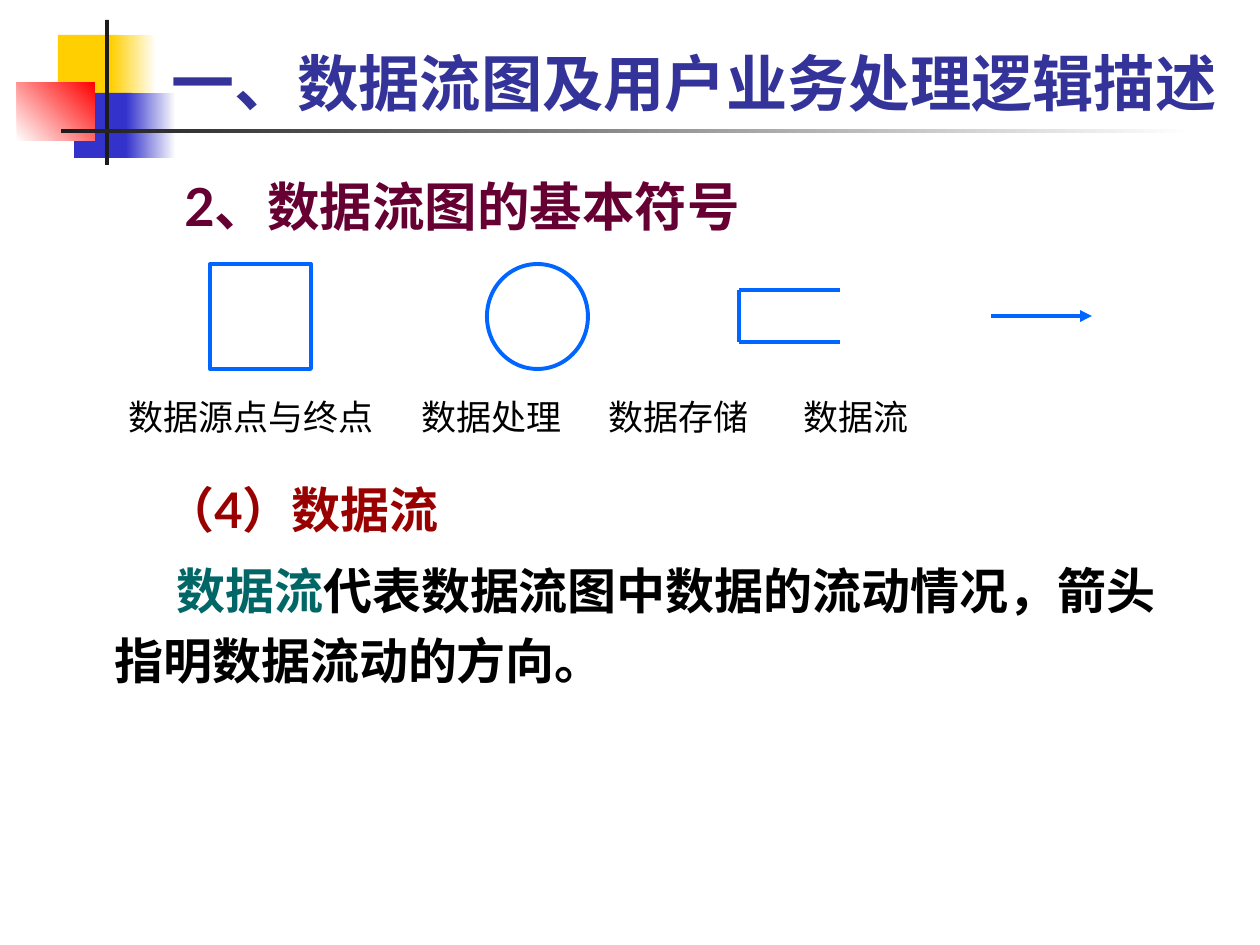
from lxml import etree
from pptx import Presentation
from pptx import util as u
from pptx.dml.color import RGBColor
from pptx.enum import shapes, text
from pptx.oxml.ns import qn

PX = 914400 / 126
CJK = "Noto Sans CJK SC"
BLUE, INK, BLACK, WHITE = "0066FF", "1C1C1C", "000000", "FFFFFF"
RECT, OVAL = shapes.MSO_SHAPE.RECTANGLE, shapes.MSO_SHAPE.OVAL


def px(n):
    return u.Emu(round(n * PX))


def rgb(color):
    return RGBColor.from_string(color)


class Painter:
    """Holds the style and the slide being drawn."""

    line_width = u.Pt(2.25)
    hanging = 48

    def __init__(self, slide):
        self.slide = slide

    def shape(self, kind, box, fill, line=None):
        sp = self.slide.shapes.add_shape(kind, *map(px, box))
        sp.shadow.inherit = False
        if fill:
            sp.fill.solid()
            sp.fill.fore_color.rgb = rgb(fill)
        if line:
            sp.line.color.rgb = rgb(line)
            sp.line.width = self.line_width
        else:
            sp.line.fill.background()
        return sp

    def fade(self, box, start, end, angle=0):
        """Rectangle with a gradient; the angle runs counter-clockwise."""
        sp = self.shape(RECT, box, None)
        sp.fill.gradient()
        sp.fill.gradient_angle = angle
        for stop, color in zip(sp.fill.gradient_stops, (start, end)):
            stop.color.rgb = rgb(color)

    def line(self, x1, y1, x2, y2, arrow=False):
        ln = self.slide.shapes.add_connector(
            shapes.MSO_CONNECTOR.STRAIGHT, *map(px, (x1, y1, x2, y2)))
        ln.line.color.rgb = rgb(BLUE)
        ln.line.width = self.line_width
        if arrow:
            etree.SubElement(ln.line._get_or_add_ln(), qn("a:tailEnd"), type="triangle")
        etree.SubElement(ln._element.spPr, qn("a:effectLst"))

    def text_box(self, box, anchor=text.MSO_ANCHOR.TOP):
        tf = self.slide.shapes.add_textbox(*map(px, box)).text_frame
        tf.word_wrap = True
        tf.vertical_anchor = anchor
        return tf

    def run(self, p, words, size, color, font="Lato", bold=True):
        r = p.add_run()
        r.text = words
        r.font.size = u.Pt(size)
        r.font.bold = bold
        r.font.color.rgb = rgb(color)
        r.font.name = font
        etree.SubElement(r._r.get_or_add_rPr(), qn("a:ea"), typeface=CJK)

    def body_paragraph(self, p, first_line, runs):
        """Paragraph whose first line starts first_line px into the box."""
        p.line_spacing = 1.2
        pPr = p._p.get_or_add_pPr()
        pPr.set("marL", str(px(self.hanging)))
        pPr.set("indent", str(px(first_line - self.hanging)))
        for r in runs:
            self.run(p, *r)

    def tabbed_labels(self, p, labels, stops, size):
        tabs = etree.SubElement(p._p.get_or_add_pPr(), qn("a:tabLst"))
        for stop in stops:
            etree.SubElement(tabs, qn("a:tab"), pos=str(px(stop)), algn="l")
        self.run(p, "\t".join(labels), size, BLACK, CJK, bold=False)


def draw_decoration(d):
    d.shape(RECT, (58, 35, 60, 66), "FFCF01")
    d.fade((111, 35, 45, 66), "FFCF01", WHITE)
    d.shape(RECT, (74, 93, 58, 65), "3333CC")
    d.fade((126, 93, 50, 65), "3333CC", WHITE)
    d.fade((17, 82, 78, 59), WHITE, "FF0000", 45)
    d.shape(RECT, (105, 20, 4, 145), INK)
    d.fade((61, 129, 1134, 4), INK, WHITE)


def draw_symbols(d):
    size, top, bottom, middle = 101, 290, 342, 316
    store, flow = 739, 991
    for kind, left in ((RECT, 210), (OVAL, 487)):
        d.shape(kind, (left, 264, size, 105), WHITE, BLUE)
    for y in (top, bottom):
        d.line(store, y, store + size, y)
    d.line(store, top, store, bottom)
    d.line(flow, middle, flow + size, middle, arrow=True)
    labels = d.text_box((116, 389, 1029, 54))
    d.tabbed_labels(labels.paragraphs[0],
                    ("数据源点与终点", "数据处理", "数据存储", "数据流"),
                    (293, 480, 675), 20)


def main():
    prs = Presentation()
    prs.slide_width, prs.slide_height = px(1260), px(945)
    d = Painter(prs.slides.add_slide(prs.slide_layouts[6]))
    draw_decoration(d)

    title = d.text_box((159, 10, 1074, 115), text.MSO_ANCHOR.BOTTOM).paragraphs[0]
    d.run(title, "一、", 36, "333399")
    d.run(title, "数据流图及用户业务处理逻辑描述", 35, "333399")

    heading = d.text_box((54, 155, 1142, 91)).paragraphs[0]
    d.body_paragraph(heading, 118, [("2、数据流图的基本符号", 30, "660033")])
    draw_symbols(d)

    body = d.text_box((54, 462, 1142, 418))
    d.body_paragraph(body.paragraphs[0], 99, [("（4）数据流", 28, "990000")])
    p = body.add_paragraph()
    p.space_before = u.Pt(5.6)
    d.body_paragraph(p, 110, [
        ("数据流", 28, "006666"),
        ("代表数据流图中数据的流动情况，箭头指明数据流动的方向。", 28, BLACK)])
    prs.save("out.pptx")


if __name__ == "__main__":
    main()
